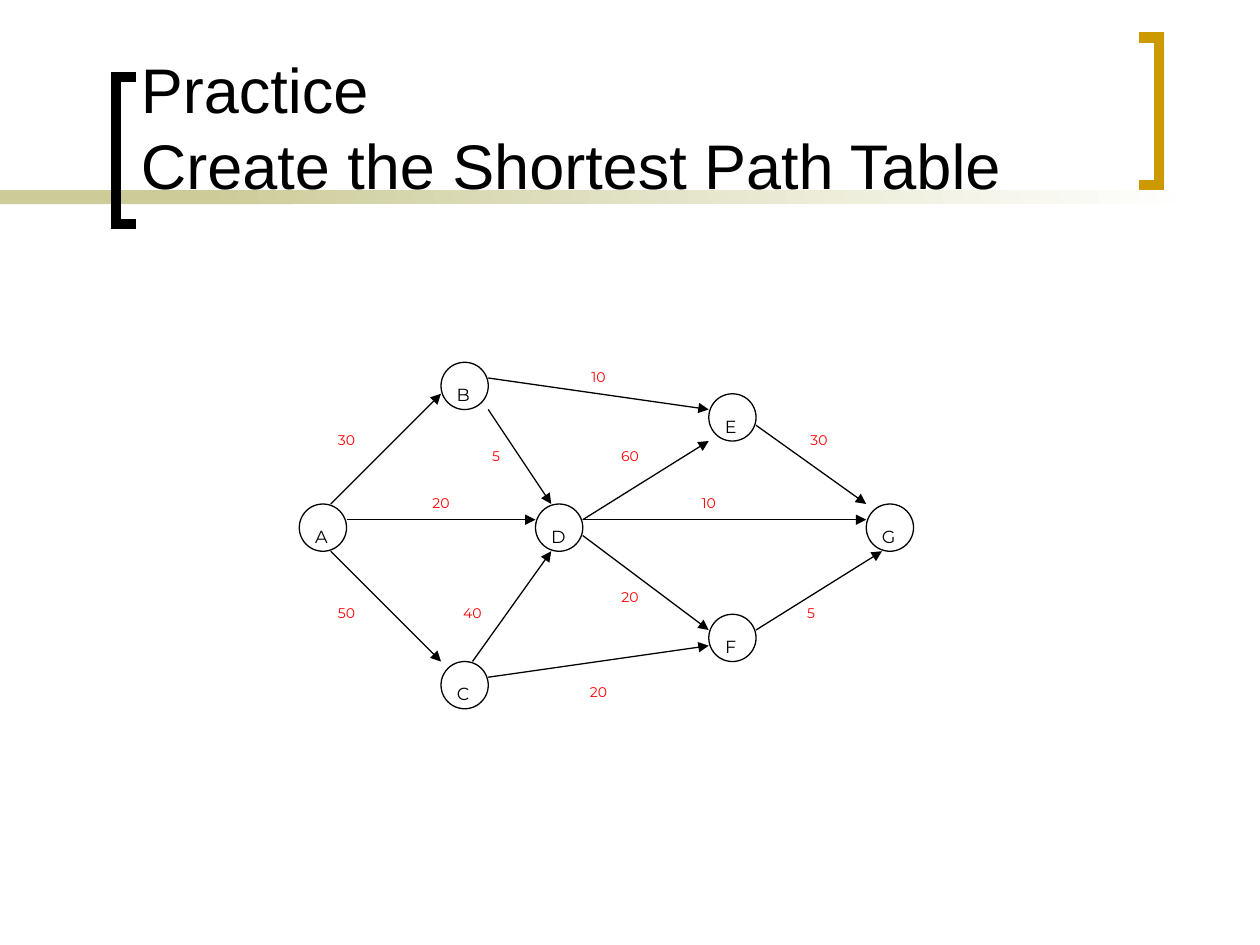
import pptx
import pptx.dml.color
import pptx.enum.shapes
import pptx.enum.text
import pptx.oxml.ns
import pptx.util
import lxml.etree
from pptx.util import Inches

RGBColor = pptx.dml.color.RGBColor
SHAPE = pptx.enum.shapes.MSO_SHAPE

BLACK = RGBColor(0x00, 0x00, 0x00)
WHITE = RGBColor(0xFF, 0xFF, 0xFF)
RED = RGBColor(0xFF, 0x00, 0x00)
GOLD = RGBColor(0xCC, 0x99, 0x00)
KHAKI = RGBColor(0xCC, 0xCC, 0x99)

UNIT = 0.125  # the graph lies on a grid of eighths of an inch
NODE = 3      # node diameter in grid units

NODES = {  # name: left, top
    "A": (19, 32), "B": (28, 23), "C": (28, 42), "D": (34, 32),
    "E": (45, 25), "F": (45, 39), "G": (55, 32),
}
EDGES = [  # start, end, weight, weight label position
    ((21, 32), (28, 25), "30", (21, 27)),  # A-B
    ((21, 35), (28, 42), "50", (21, 38)),  # A-C
    ((22, 33), (34, 33), "20", (27, 31)),  # A-D
    ((30, 42), (35, 35), "40", (29, 38)),  # C-D
    ((31, 26), (35, 32), "5", (31, 28)),   # B-D
    ((37, 33), (45, 28), "60", (39, 28)),  # D-E
    ((37, 34), (45, 40), "20", (39, 37)),  # D-F
    ((37, 33), (55, 33), "10", (44, 31)),  # D-G
    ((48, 27), (55, 32), "30", (51, 27)),  # E-G
    ((48, 40), (56, 35), "5", (51, 38)),   # F-G
    ((31, 24), (45, 26), "10", (37, 23)),  # B-E
    ((31, 43), (45, 41), "20", (37, 43)),  # C-F
]


def add_xml(parent, tag, **attributes):
    """Append a DrawingML element such as a:tailEnd."""
    return lxml.etree.SubElement(parent, pptx.oxml.ns.qn(tag), **attributes)


class Deck:
    title_font = "Arial"
    graph_font = "Montserrat"
    line_width = pptx.util.Pt(0.75)
    bracket_width = pptx.util.Pt(6)

    def __init__(self):
        self.prs = pptx.Presentation()
        self.prs.slide_width, self.prs.slide_height = Inches(10), Inches(7.5)
        self.s = self.prs.slides.add_slide(self.prs.slide_layouts[6])
        self.shapes = self.s.shapes

    def start_group(self):
        """Send the elements that follow into a new group."""
        self.shapes = self.s.shapes.add_group_shape().shapes

    def outline(self, sp, color, width):
        """Style the line of a shape and return its a:ln element."""
        sp.line.color.rgb = color
        sp.line.width = width
        return sp.element.spPr.find(pptx.oxml.ns.qn("a:ln"))

    def bar(self, x, y, w, h, color, fade_to=None):
        sp = self.shapes.add_shape(SHAPE.RECTANGLE, Inches(x), Inches(y), Inches(w), Inches(h))
        sp.shadow.inherit = False
        sp.line.fill.background()
        if fade_to is None:
            sp.fill.solid()
            sp.fill.fore_color.rgb = color
        else:
            sp.fill.gradient()
            sp.fill.gradient_angle = 0
            for stop, rgb in zip(sp.fill.gradient_stops, (color, fade_to)):
                stop.color.rgb = rgb

    def bracket(self, spine, tip, y, h, color):
        """Draw a square bracket whose ends point from x = spine to x = tip."""
        fb = self.shapes.build_freeform(Inches(tip), Inches(y))
        corners = [(spine, y), (spine, y + h), (tip, y + h)]
        fb.add_line_segments([(Inches(px), Inches(py)) for px, py in corners], close=False)
        sp = fb.convert_to_shape()
        sp.shadow.inherit = False
        sp.fill.background()
        add_xml(self.outline(sp, color, self.bracket_width), "a:miter", lim="800000")

    def text(self, x, y, w, h, text, size, font, color=BLACK):
        sp = self.shapes.add_textbox(Inches(x), Inches(y), Inches(w), Inches(h))
        tf = sp.text_frame
        tf.text = text
        for r in tf.paragraphs[0].runs:
            r.font.size = pptx.util.Pt(size)
            r.font.name = font
            r.font.color.rgb = color
        return tf

    def title(self, x, y, w, h, text):
        tf = self.text(x, y, w, h, text, 36, self.title_font)
        tf.word_wrap = True
        tf.vertical_anchor = pptx.enum.text.MSO_ANCHOR.BOTTOM

    def node(self, col, row):
        size = Inches(NODE * UNIT)
        sp = self.shapes.add_shape(SHAPE.OVAL, Inches(col * UNIT), Inches(row * UNIT), size, size)
        sp.shadow.inherit = False
        sp.fill.solid()
        sp.fill.fore_color.rgb = WHITE
        self.outline(sp, BLACK, self.line_width)

    def arrow(self, start, end):
        ends = [Inches(v * UNIT) for v in start + end]
        sp = self.shapes.add_connector(pptx.enum.shapes.MSO_CONNECTOR.STRAIGHT, *ends)
        add_xml(self.outline(sp, BLACK, self.line_width), "a:tailEnd", type="triangle")
        add_xml(sp.element.spPr, "a:effectLst")

    def label(self, col, row, text, size, color=BLACK, width=0.1):
        tf = self.text(col * UNIT, row * UNIT, width, 0.19, text, size, self.graph_font, color)
        tf.word_wrap = False
        tf.margin_left = tf.margin_right = 0
        tf.paragraphs[0].alignment = pptx.enum.text.PP_ALIGN.CENTER


def main():
    deck = Deck()
    deck.bar(0, 1.51, 2.33, 0.11, KHAKI)
    deck.bar(1.58, 1.51, 7.92, 0.11, KHAKI, fade_to=WHITE)
    deck.bracket(0.92, 1.08, 0.61, 1.17, BLACK)
    deck.bracket(9.2, 9.04, 0.3, 1.17, GOLD)
    deck.title(1.02, 0.1, 7.83, 1.55, "Practice\vCreate the Shortest Path Table")

    deck.start_group()
    for col, row in NODES.values():
        deck.node(col, row)
    for start, end, _, _ in EDGES:
        deck.arrow(start, end)
    for name, (col, row) in NODES.items():
        deck.label(col + 1, row + 1, name, 10)
    for _, _, weight, (col, row) in EDGES:
        deck.label(col, row, weight, 8, RED, width=len(weight) * UNIT)

    deck.prs.save("out.pptx")


if __name__ == "__main__":
    main()
